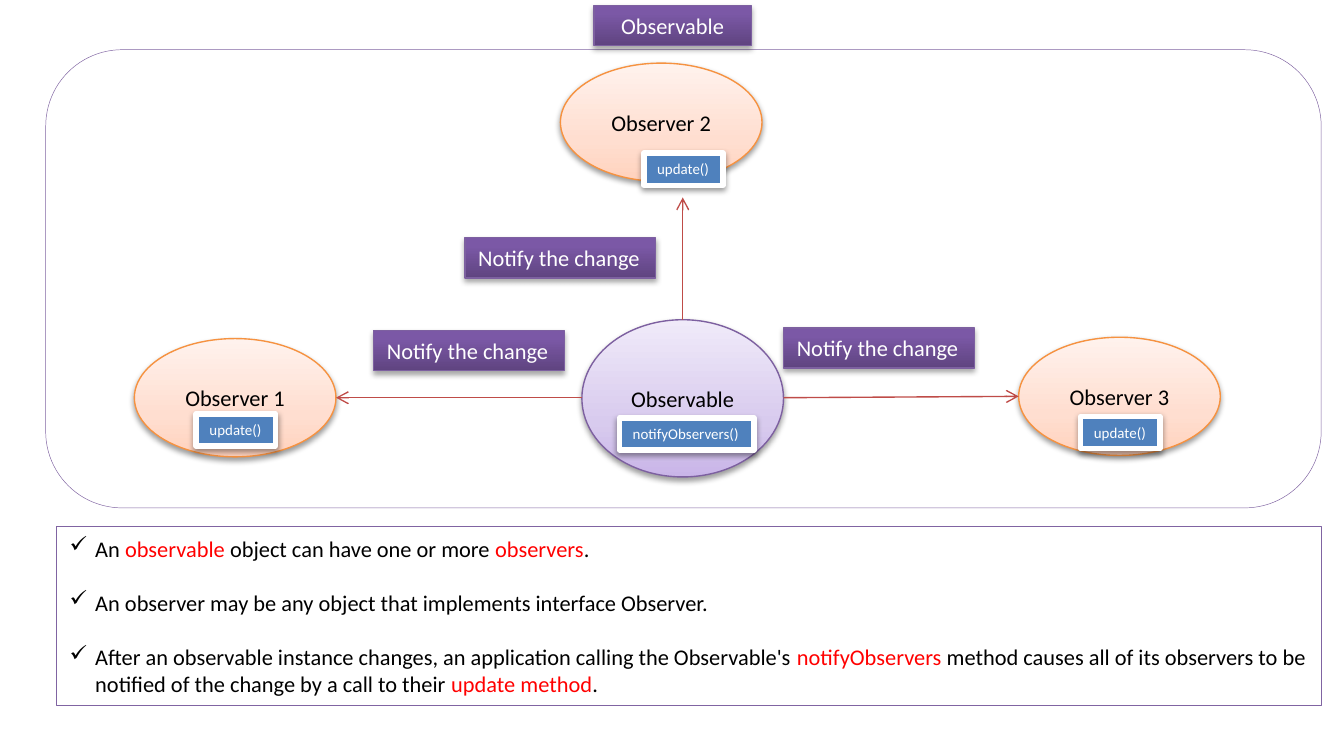
from dataclasses import dataclass
from typing import Optional

from lxml import etree
from pptx import Presentation
from pptx.dml.color import RGBColor
from pptx.enum.shapes import MSO_CONNECTOR, MSO_SHAPE
from pptx.enum.text import MSO_ANCHOR, PP_ALIGN
from pptx.oxml import parse_xml
from pptx.oxml.ns import nsdecls, qn
from pptx.util import Inches, Pt

RECTANGLE = MSO_SHAPE.RECTANGLE
ROUNDED = MSO_SHAPE.ROUNDED_RECTANGLE
ELLIPSE = MSO_SHAPE.OVAL
STRAIGHT = MSO_CONNECTOR.STRAIGHT
LEFT, CENTER = PP_ALIGN.LEFT, PP_ALIGN.CENTER
TOP, MIDDLE = MSO_ANCHOR.TOP, MSO_ANCHOR.MIDDLE

WHITE, BLACK, RED = "FFFFFF", "000000", "FF0000"
ARROW_COLOR = "BF4C48"
FONT = "Calibri"


@dataclass(frozen=True)
class Style:
    fill: tuple  # one colour, or (position, colour) gradient stops
    line: str
    line_width: float = 0.75
    shadow: Optional[tuple] = None  # opacity and distance in points
    text_color: str = BLACK
    size: float = 12
    align: PP_ALIGN = LEFT
    anchor: MSO_ANCHOR = TOP
    wrap: bool = True


@dataclass(frozen=True)
class Item:
    preset: MSO_SHAPE
    left: float
    top: float
    width: float
    height: float
    style: Style
    text: str = ""


PURPLE = ((0, "5F4480"), (80, "7B58A6"), (100, "7C57A8"))
LILAC = ((0, "C9B5E8"), (35, "D8CBEE"), (100, "F0EAF9"))
PEACH = ((0, "FFD2BD"), (35, "FFDED0"), (100, "FFF2ED"))

FRAME = Style((WHITE,), "8064A2", 0.25, anchor=MIDDLE)
TITLE = Style(PURPLE, "7D60A0", shadow=(35, 1.8), text_color=WHITE, align=CENTER)
LABEL = Style(PURPLE, "7D60A0", shadow=(35, 1.8), text_color=WHITE, wrap=False)
SUBJECT = Style(LILAC, "7D60A0", shadow=(38, 1.6), align=CENTER, anchor=MIDDLE)
OBSERVER = Style(PEACH, "F69240", shadow=(38, 1.6), align=CENTER, anchor=MIDDLE)
METHOD = Style(("4F81BD",), WHITE, 3, (38, 1.6), WHITE, 8, wrap=False)


def observer(left: float, top: float, number: int) -> Item:
    return Item(ELLIPSE, left, top, 1.5, 0.88, OBSERVER, f"Observer {number}")


def notice(left: float, top: float) -> Item:
    return Item(RECTANGLE, left, top, 1.42, 0.3, LABEL, "Notify the change")


def method(left: float, top: float, width: float = 0.59, text: str = "update()") -> Item:
    return Item(RECTANGLE, left, top, width, 0.24, METHOD, text)


NODES = [
    Item(ROUNDED, 0.34, 0.37, 9.49, 3.41, FRAME),
    Item(RECTANGLE, 4.42, 0.04, 1.17, 0.3, TITLE, "Observable"),
    Item(ELLIPSE, 4.33, 2.38, 1.5, 1.17, SUBJECT, "Observable"),
    observer(1, 2.52, 1), observer(7.58, 2.51, 3), observer(4.17, 0.47, 2),
]
ARROWS = [
    (5.08, 2.38, 5.08, 1.47),
    (4.33, 2.96, 2.5, 2.96),
    (5.83, 2.96, 7.58, 2.95),
]
NOTICES = [notice(2.78, 2.46), notice(5.83, 2.44), notice(3.46, 1.77)]
SUMMARY = Item(RECTANGLE, 0.42, 3.92, 9.41, 1.33, FRAME)
METHODS = [
    method(1.46, 3.08), method(8.04, 3.1), method(4.79, 1.14),
    method(4.61, 3.11, 1, "notifyObservers()"),
]
# Each point is a list of (text, colour) spans
POINTS = [
    [("An ", BLACK), ("observable", RED), (" object can have one or more ", BLACK),
     ("observers", RED), (".", BLACK)],
    [("An observer may be any object that implements interface Observer.", BLACK)],
    [("After an observable instance changes, an application calling the Observable's ", BLACK),
     ("notifyObservers", RED),
     (" method causes all of its observers to be notified of the change by a call to their ", BLACK),
     ("update method", RED), (".", BLACK)],
]


def color(value: str) -> RGBColor:
    return RGBColor.from_string(value)


def set_gradient(shape, stops: tuple) -> None:
    stop_xml = "".join(
        f'<a:gs pos="{position * 1000}"><a:srgbClr val="{value}"/></a:gs>'
        for position, value in stops)
    gradient = parse_xml(
        f'<a:gradFill {nsdecls("a")} rotWithShape="1"><a:gsLst>{stop_xml}</a:gsLst>'
        '<a:lin ang="16200000" scaled="0"/></a:gradFill>')
    shape._element.spPr.find(qn("a:prstGeom")).addnext(gradient)


def set_shadow(shape, opacity: int, distance: float) -> None:
    shadow = parse_xml(
        f'<a:outerShdw {nsdecls("a")} blurRad="{Pt(3.1)}" dist="{Pt(distance)}" '
        'dir="5400000" rotWithShape="0"><a:srgbClr val="000000">'
        f'<a:alpha val="{opacity * 1000}"/></a:srgbClr></a:outerShdw>')
    shape._element.spPr.find(qn("a:effectLst")).append(shadow)


def add_span(para, text: str, size: float, value: str) -> None:
    span = para.add_run()
    span.text = text
    for name, setting in {"name": FONT, "size": Pt(size)}.items():
        setattr(span.font, name, setting)
    span.font.color.rgb = color(value)


def draw_item(page, item: Item):
    style = item.style
    box = page.shapes.add_shape(item.preset, Inches(item.left), Inches(item.top),
                                Inches(item.width), Inches(item.height))
    box.shadow.inherit = False
    if len(style.fill) == 1:
        box.fill.solid()
        box.fill.fore_color.rgb = color(style.fill[0])
    else:
        set_gradient(box, style.fill)
    box.line.color.rgb = color(style.line)
    box.line.width = Pt(style.line_width)
    if style.shadow:
        set_shadow(box, *style.shadow)
    frame = box.text_frame
    for name, setting in {"word_wrap": style.wrap, "vertical_anchor": style.anchor}.items():
        setattr(frame, name, setting)
    frame.paragraphs[0].alignment = style.align
    if item.text:
        add_span(frame.paragraphs[0], item.text, style.size, style.text_color)
    return box


def draw_arrow(page, x1: float, y1: float, x2: float, y2: float) -> None:
    arrow = page.shapes.add_connector(STRAIGHT, Inches(x1), Inches(y1), Inches(x2), Inches(y2))
    arrow.line.color.rgb = color(ARROW_COLOR)
    arrow.line.width = Pt(0.75)
    etree.SubElement(arrow.line._get_or_add_ln(), qn("a:tailEnd"), type="arrow")
    etree.SubElement(arrow._element.spPr, qn("a:effectLst"))


def draw_summary(page) -> None:
    frame = draw_item(page, SUMMARY).text_frame
    for index, point in enumerate(POINTS):
        para = frame.add_paragraph() if index else frame.paragraphs[0]
        para.alignment = LEFT
        if index:
            para.space_before = Pt(14.6)
        properties = para._p.get_or_add_pPr()
        properties.set("marL", str(Inches(0.19)))
        properties.set("indent", str(Inches(-0.19)))
        etree.SubElement(properties, qn("a:buChar"), char="✓")
        for text, value in point:
            add_span(para, text, FRAME.size, value)


def main() -> None:
    deck = Presentation()
    deck.slide_width, deck.slide_height = Inches(10), Inches(5.5)
    page = deck.slides.add_slide(deck.slide_layouts[6])

    # Frame, title and nodes
    for item in NODES:
        draw_item(page, item)
    # Notifications
    for arrow in ARROWS:
        draw_arrow(page, *arrow)
    for item in NOTICES:
        draw_item(page, item)
    # Explanation and method tags
    draw_summary(page)
    for item in METHODS:
        draw_item(page, item)

    deck.save("out.pptx")


if __name__ == "__main__":
    main()
